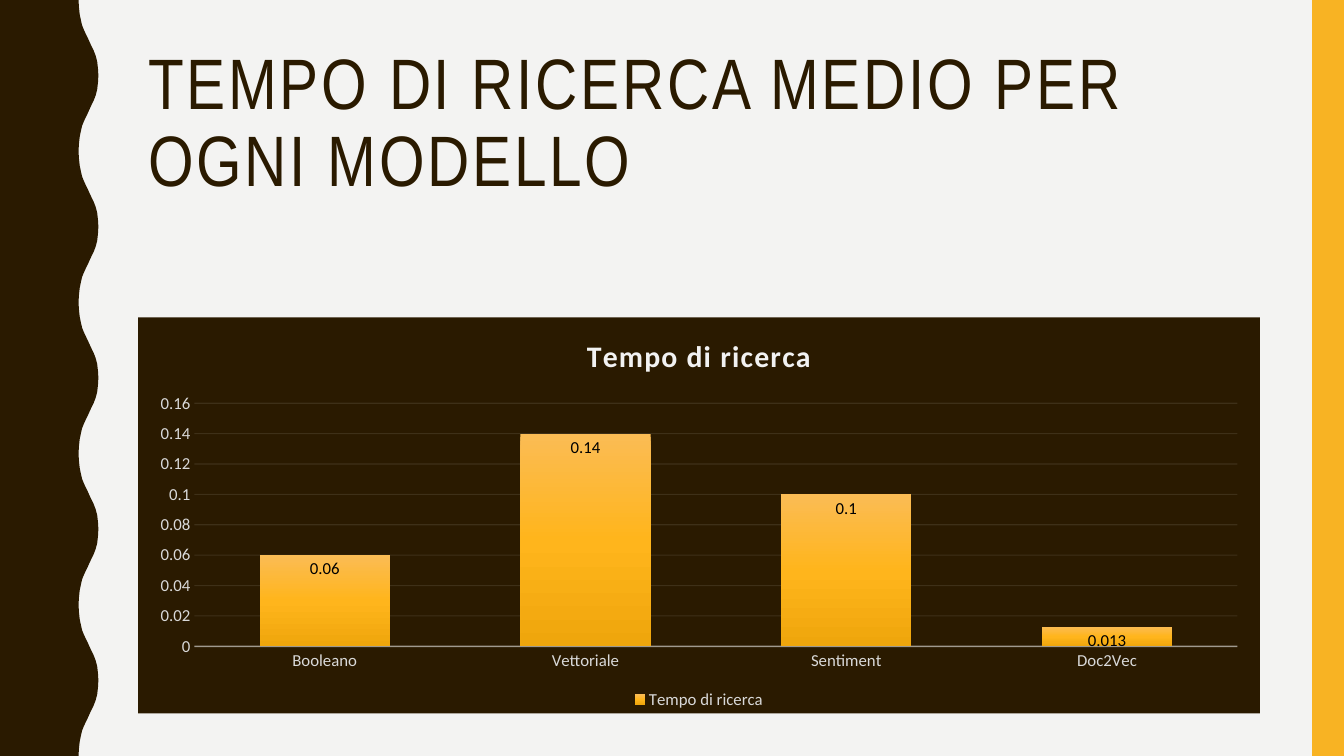
from lxml import etree
from pptx import Presentation
from pptx.chart.data import CategoryChartData
from pptx.dml.color import RGBColor
from pptx.enum.chart import XL_CHART_TYPE as ChartType
from pptx.enum.chart import XL_LABEL_POSITION as LabelPosition
from pptx.enum.chart import XL_LEGEND_POSITION as LegendPosition
from pptx.enum.chart import XL_TICK_MARK as TickMark
from pptx.enum.shapes import MSO_SHAPE as Shape
from pptx.enum.text import MSO_ANCHOR as Anchor
from pptx.enum.text import MSO_AUTO_SIZE as AutoSize
from pptx.enum.text import PP_ALIGN as Align
from pptx.oxml import parse_xml
from pptx.oxml.ns import nsdecls, qn
from pptx.util import Cm, Pt

BROWN = RGBColor(0x2A, 0x1A, 0x00)
GOLD = RGBColor(0xF8, 0xB3, 0x23)
PAPER = RGBColor(0xF3, 0xF3, 0xF2)
WHITE = RGBColor(0xF2, 0xF2, 0xF2)
GREY = RGBColor(0xD9, 0xD9, 0xD9)
BLACK = RGBColor(0x00, 0x00, 0x00)
BAR_STOPS = (
    (0, RGBColor(0xFB, 0xBC, 0x54)),
    (50, RGBColor(0xFF, 0xB5, 0x1C)),
    (100, RGBColor(0xEF, 0xA6, 0x0C)),
)

WIDTH, HEIGHT = 33.87, 19.05
WAVE_PERIOD, WAVE_COUNT = 3.81, 5
# Trough to crest of one wave, as (x, y); the way back mirrors it.
HALF_WAVE = [
    (1.98, 0), (1.99, 0.18), (2.01, 0.36), (2.04, 0.51), (2.07, 0.64),
    (2.11, 0.74), (2.16, 0.85), (2.21, 0.95), (2.26, 1.06), (2.31, 1.17),
    (2.36, 1.27), (2.41, 1.4), (2.45, 1.55), (2.47, 1.73), (2.48, 1.9),
]
SEARCH_TIMES = {"Booleano": 0.06, "Vettoriale": 0.14, "Sentiment": 0.1, "Doc2Vec": 0.013}


def style_font(font, size, color, name="Calibri", bold=False):
    font.size, font.name, font.bold = Pt(size), name, bold
    font.color.rgb = color


def set_letter_spacing(paragraph, points):
    properties = paragraph._p.get_or_add_pPr().get_or_add_defRPr()
    properties.set("spc", str(points * 100))


def style_line(line, width, opacity):
    line.width = Pt(width)
    line.color.rgb = WHITE
    color = line._ln.find(".//" + qn("a:srgbClr"))
    etree.SubElement(color, qn("a:alpha")).set("val", str(opacity * 1000))


def chart_fill(color):
    return parse_xml(
        f'<c:spPr {nsdecls("c", "a")}><a:solidFill><a:srgbClr val="{color}"/>'
        "</a:solidFill><a:ln><a:noFill/></a:ln></c:spPr>"
    )


def fill_gradient(fill_format, stops):
    """Fill from top to bottom with any number of stops."""
    fill_format.gradient()
    fill_format.gradient_angle = 270
    stop_list = fill_format._xPr.find(".//" + qn("a:gsLst"))
    for old_stop in list(stop_list):
        stop_list.remove(old_stop)
    for position, color in stops:
        stop = etree.SubElement(stop_list, qn("a:gs"), pos=str(position * 1000))
        etree.SubElement(stop, qn("a:srgbClr"), val=str(color))


class SlideBuilder:
    def __init__(self, presentation):
        self.slide = presentation.slides.add_slide(presentation.slide_layouts[5])
        background = self.slide.background.fill
        background.solid()
        background.fore_color.rgb = PAPER

    def paint(self, shape, color):
        shape.shadow.inherit = False
        shape.fill.solid()
        shape.fill.fore_color.rgb = color
        shape.line.fill.background()

    def wavy_edge(self):
        wave = HALF_WAVE + [(x, WAVE_PERIOD - y) for x, y in HALF_WAVE[-2::-1]]
        outline = [
            (Cm(x), Cm(y + number * WAVE_PERIOD))
            for number in range(WAVE_COUNT)
            for x, y in wave
        ]
        builder = self.slide.shapes.build_freeform(0, 0)
        builder.add_line_segments(outline + [(0, Cm(HEIGHT))], close=True)
        self.paint(builder.convert_to_shape(), BROWN)

    def band(self, left, top, width, height):
        band = self.slide.shapes.add_shape(
            Shape.RECTANGLE, Cm(left), Cm(top), Cm(width), Cm(height)
        )
        self.paint(band, GOLD)

    def title(self, wording, left, top, width, height):
        title = self.slide.shapes.title
        title.left, title.top = Cm(left), Cm(top)
        title.width, title.height = Cm(width), Cm(height)
        frame = title.text_frame
        frame.text = wording
        frame.word_wrap = True
        frame.auto_size = AutoSize.NONE
        frame.vertical_anchor = Anchor.TOP
        paragraph = frame.paragraphs[0]
        paragraph.alignment = Align.LEFT
        paragraph.line_spacing = 0.9
        style_font(paragraph.font, 51, BROWN, "Arial Narrow")
        set_letter_spacing(paragraph, 2)

    def column_chart(self, name, values, left, top, width, height):
        data = CategoryChartData()
        data.categories = list(values)
        data.add_series(name, list(values.values()))
        chart = self.slide.shapes.add_chart(
            ChartType.COLUMN_CLUSTERED, Cm(left), Cm(top), Cm(width), Cm(height), data
        ).chart
        style_font(chart.font, 10, BLACK)

        chart.has_title = True
        heading = chart.chart_title.text_frame
        heading.text = name
        style_font(heading.paragraphs[0].font, 21.3, WHITE, bold=True)
        set_letter_spacing(heading.paragraphs[0], 1)
        chart.chart_title.include_in_layout = False

        chart.has_legend = True
        chart.legend.position = LegendPosition.BOTTOM
        chart.legend.include_in_layout = False
        style_font(chart.legend.font, 12, GREY)

        self.columns(chart.plots[0])
        self.axes(chart)
        chart_space = chart._chartSpace
        chart_space.find(qn("c:txPr")).addprevious(chart_fill(BROWN))
        chart_space.find(".//" + qn("c:plotArea")).append(chart_fill(BROWN))

    def columns(self, plot):
        plot.gap_width, plot.overlap = 100, -24
        plot.vary_by_categories = False
        fill_gradient(plot.series[0].format.fill, BAR_STOPS)
        labels = plot.series[0].data_labels
        labels.show_value = True
        labels.position = LabelPosition.INSIDE_END
        style_font(labels.font, 12, BLACK)

    def axes(self, chart):
        for axis in (chart.category_axis, chart.value_axis):
            axis.major_tick_mark = axis.minor_tick_mark = TickMark.NONE
            style_font(axis.tick_labels.font, 12, GREY)
        style_line(chart.category_axis.format.line, 1, 54)
        scale = chart.value_axis
        scale.minimum_scale, scale.maximum_scale, scale.major_unit = 0, 0.16, 0.02
        scale.format.line.fill.background()
        scale.has_major_gridlines = True
        style_line(scale.major_gridlines.format.line, 0.75, 10)


def main():
    presentation = Presentation()
    presentation.slide_width, presentation.slide_height = Cm(WIDTH), Cm(HEIGHT)
    builder = SlideBuilder(presentation)
    builder.wavy_edge()
    builder.band(33.07, 0, 0.8, HEIGHT)
    builder.title("TEMPO DI RICERCA MEDIO PER OGNI MODELLO", 3.48, 1.07, 28.27, 4.14)
    builder.column_chart("Tempo di ricerca", SEARCH_TIMES, 3.48, 8, 28.27, 9.98)
    presentation.save("out.pptx")


if __name__ == "__main__":
    main()
